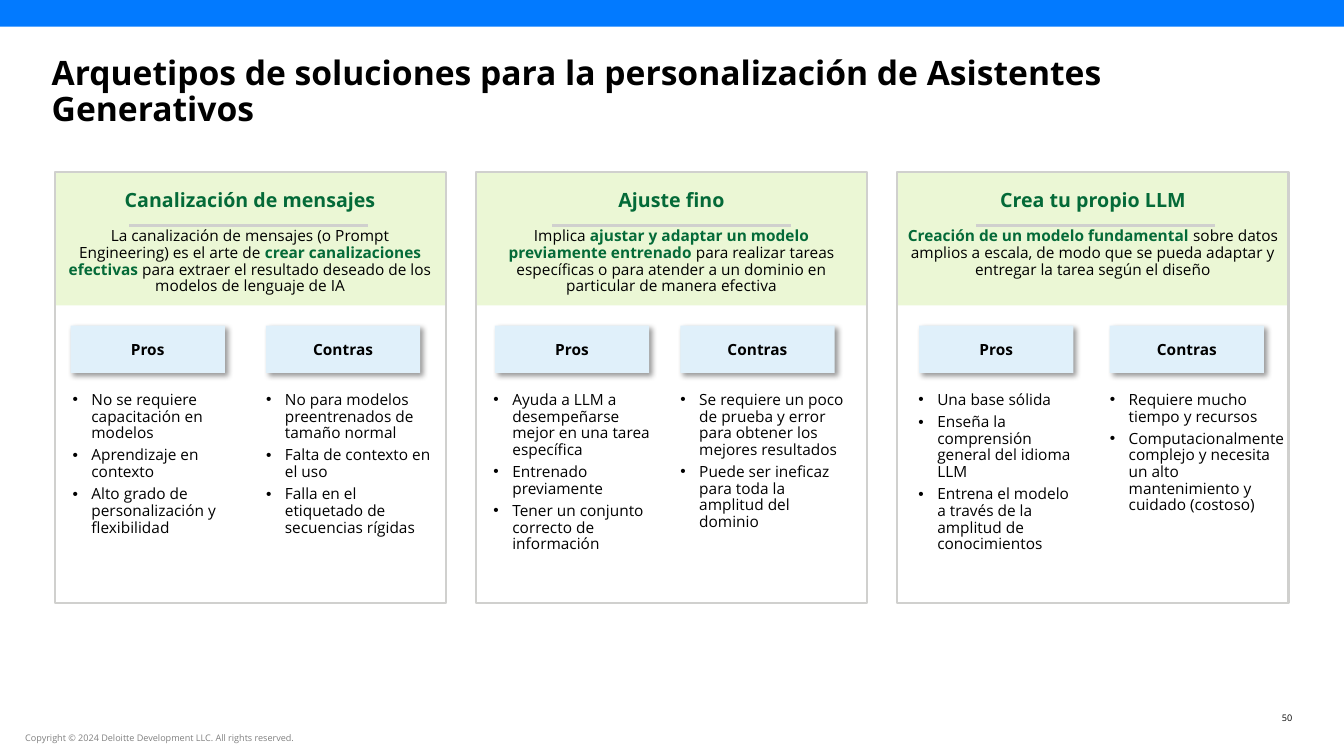
from lxml import etree
from pptx import Presentation
from pptx.dml.color import RGBColor
from pptx.enum.shapes import MSO_CONNECTOR, MSO_SHAPE
from pptx.enum.text import MSO_ANCHOR, PP_ALIGN
from pptx.oxml import parse_xml
from pptx.oxml.ns import nsdecls, qn
from pptx.util import Pt

BLACK = RGBColor(0x00, 0x00, 0x00)
GRAY = RGBColor(0x80, 0x80, 0x80)
BORDER = RGBColor(0xD0, 0xD0, 0xCE)
GREEN = RGBColor(0x04, 0x6A, 0x38)
PALE_GREEN = RGBColor(0xEB, 0xF7, 0xD5)
PALE_BLUE = RGBColor(0xE0, 0xF0, 0xFA)
BLUE = RGBColor(0x02, 0x7A, 0xFF)
FONT = "Open Sans"
SHADOW = (
    f'<a:effectLst {nsdecls("a")}><a:outerShdw blurRad="50800" dist="38100" dir="2700000" '
    'algn="tl" rotWithShape="0"><a:srgbClr val="000000"><a:alpha val="40000"/></a:srgbClr>'
    '</a:outerShdw></a:effectLst>'
)

# Heading, description as (text, bold) runs, then (label, left, text left, width, bullets)
CARDS = [
    ("Canalización de mensajes",
     [("La canalización de mensajes (o Prompt Engineering) es el arte de ", False),
      ("crear canalizaciones efectivas ", True),
      ("para extraer el resultado deseado de los modelos de lenguaje de IA", False)],
     [("Pros", 50.4, 51.8, 109,
       ["No se requiere capacitación en modelos", "Aprendizaje en contexto",
        "Alto grado de personalización y flexibilidad"]),
      ("Contras", 190, 190, 118,
       ["No para modelos preentrenados de tamaño normal", "Falta de contexto en el uso",
        "Falla en el etiquetado de secuencias rígidas"])]),
    ("Ajuste fino",
     [("Implica ", False),
      ("ajustar y adaptar un modelo previamente entrenado ", True),
      ("para realizar tareas específicas o para atender a un dominio en particular "
       "de manera efectiva", False)],
     [("Pros", 353.5, 352.5, 112.5,
       ["Ayuda a LLM a desempeñarse mejor en una tarea específica", "Entrenado previamente",
        "Tener un conjunto correcto de información"]),
      ("Contras", 486, 486, 119,
       ["Se requiere un poco de prueba y error para obtener los mejores resultados",
        "Puede ser ineficaz para toda la amplitud del dominio"])]),
    ("Crea tu propio LLM",
     [("Creación de un modelo fundamental ", True),
      ("sobre datos amplios a escala, de modo que se pueda adaptar y entregar la tarea "
       "según el diseño", False)],
     [("Pros", 656.6, 656, 115,
       ["Una base sólida", "Enseña la comprensión general del idioma LLM",
        "Entrena el modelo a través de la amplitud de conocimientos"]),
      ("Contras", 792.7, 792.7, 126,
       ["Requiere mucho tiempo y recursos",
        "Computacionalmente complejo y necesita un alto mantenimiento y cuidado (costoso)"])]),
]
CARD_LEFT, CARD_TOP, CARD_W, CARD_STEP = 39, 123.2, 279.4, 301

prs = Presentation()
prs.slide_width, prs.slide_height = Pt(960), Pt(540)
s = prs.slides.add_slide(prs.slide_layouts[5])


def add_rect(x, y, w, h, fill=None, line=None):
    sp = s.shapes.add_shape(MSO_SHAPE.RECTANGLE, Pt(x), Pt(y), Pt(w), Pt(h))
    sp.shadow.inherit = False
    if fill is None:
        sp.fill.background()
    else:
        sp.fill.solid()
        sp.fill.fore_color.rgb = fill
    if line is None:
        sp.line.fill.background()
    else:
        sp.line.color.rgb = line
        sp.line.width = Pt(1.5)
    return sp


def add_text(x, y, w, h, paragraphs, size, color=BLACK, align=PP_ALIGN.LEFT):
    """Add a wrapping text box without insets, one paragraph per string."""
    tf = s.shapes.add_textbox(Pt(x), Pt(y), Pt(w), Pt(h)).text_frame
    tf.word_wrap = True
    tf.margin_left = tf.margin_top = tf.margin_right = tf.margin_bottom = 0
    tf.text = "\n".join(paragraphs)
    for p in tf.paragraphs:
        p.alignment = align
        p.line_spacing = 0.9
        for r in p.runs:
            r.font.name, r.font.size, r.font.color.rgb = FONT, Pt(size), color
    return tf


add_rect(0, 0, 960, 19, BLUE)

title = s.shapes.title
title.left, title.top, title.width, title.height = Pt(36.9), Pt(40.3), Pt(886), Pt(60)
tf = title.text_frame
tf.text = "Arquetipos de soluciones para la personalización de Asistentes Generativos"
tf.word_wrap = True
tf.vertical_anchor = MSO_ANCHOR.TOP
tf.margin_left = tf.margin_top = tf.margin_right = tf.margin_bottom = 0
p = tf.paragraphs[0]
p.alignment = PP_ALIGN.LEFT
p.line_spacing = 0.9
font = p.runs[0].font
font.name, font.size, font.bold, font.color.rgb = FONT, Pt(24), True, BLACK

for i, (heading, description, columns) in enumerate(CARDS):
    x = CARD_LEFT + i * CARD_STEP
    add_rect(x, CARD_TOP, CARD_W, 95, fill=PALE_GREEN)
    add_rect(x, CARD_TOP, CARD_W, 307.4, line=BORDER)

    tf = add_text(x, 132.5, CARD_W, 90, [heading], 14, GREEN, PP_ALIGN.CENTER)
    tf.margin_left = tf.margin_right = Pt(7.2)
    tf.margin_top = tf.margin_bottom = Pt(3.6)
    tf.paragraphs[0].runs[0].font.bold = True
    p = tf.add_paragraph()
    p.alignment = PP_ALIGN.CENTER
    p.line_spacing = 0.9
    p.space_before = Pt(12)
    for text, bold in description:
        r = p.add_run()
        r.text = text
        r.font.name, r.font.size, r.font.bold = FONT, Pt(11), bold
        r.font.color.rgb = GREEN if bold else BLACK

    rule_x = 92.2 + i * 302.4
    rule = s.shapes.add_connector(MSO_CONNECTOR.STRAIGHT, Pt(rule_x), Pt(161.2),
                                  Pt(rule_x + 170.6), Pt(161.2))
    rule.line.color.rgb = BORDER
    rule.line.width = Pt(2.25)
    etree.SubElement(rule._element.spPr, qn("a:effectLst"))

    for label, label_x, text_x, text_w, bullets in columns:
        sp = add_rect(label_x, 232.6, 110.2, 33.8, fill=PALE_BLUE)
        sp_pr = sp._element.spPr
        sp_pr.replace(sp_pr.find(qn("a:effectLst")), parse_xml(SHADOW))
        tf = sp.text_frame
        tf.text = label
        tf.vertical_anchor = MSO_ANCHOR.MIDDLE
        tf.margin_left = tf.margin_right = 0
        p = tf.paragraphs[0]
        p.alignment = PP_ALIGN.CENTER
        font = p.runs[0].font
        font.name, font.size, font.bold, font.color.rgb = FONT, Pt(11), True, BLACK

        tf = add_text(text_x, 280.1, text_w, 128, bullets, 11)
        for n, p in enumerate(tf.paragraphs):
            p.space_before = Pt(2 if n else 0)
            p.space_after = Pt(2)
            p_pr = p._p.get_or_add_pPr()
            p_pr.set("marL", str(Pt(13.5)))
            p_pr.set("indent", str(-Pt(13.5)))
            etree.SubElement(p_pr, qn("a:buFont")).set("typeface", "Arial")
            etree.SubElement(p_pr, qn("a:buChar")).set("char", "•")

add_text(898.6, 509.8, 24.4, 8, ["50"], 6.5, align=PP_ALIGN.RIGHT)
add_text(18, 524, 422, 8, ["Copyright © 2024 Deloitte Development LLC. All rights reserved."],
         6.5, GRAY)

prs.save("out.pptx")
